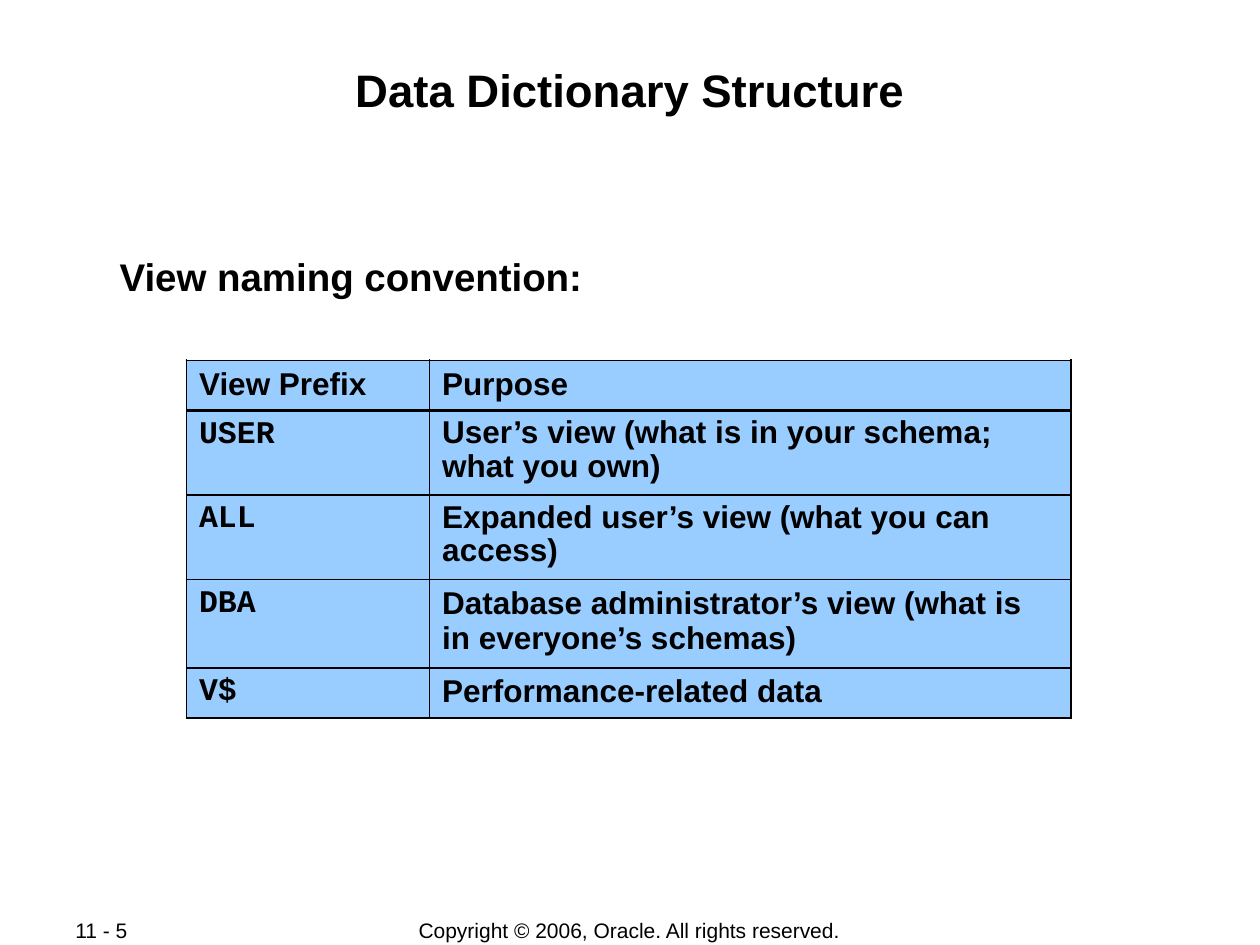
from lxml import etree
from pptx import Presentation
from pptx import util as u
from pptx.dml.color import RGBColor
from pptx.enum import text
from pptx.oxml.ns import qn

BLACK, BLUE = "000000", "99CCFF"
LEFT, CENTER = text.PP_ALIGN.LEFT, text.PP_ALIGN.CENTER
TOP, MIDDLE = text.MSO_ANCHOR.TOP, text.MSO_ANCHOR.MIDDLE


def color(value):
    return RGBColor.from_string(value)


def write(frame, words, size, bold=True, name="Arial", align=LEFT, spacing=1.0):
    frame.text = words
    paragraph = frame.paragraphs[0]
    for key, value in {"alignment": align, "line_spacing": spacing, "space_before": u.Pt(0)}.items():
        setattr(paragraph, key, value)
    font = paragraph.runs[0].font
    for key, value in {"size": u.Pt(size), "bold": bold, "name": name}.items():
        setattr(font, key, value)
    font.color.rgb = color(BLACK)


presentation = Presentation()
presentation.slide_width, presentation.slide_height = u.Inches(10), u.Inches(7.5)
slide = presentation.slides.add_slide(presentation.slide_layouts[5])

text_blocks = [
    (slide.shapes.title, "Data Dictionary Structure", (0.67, 0.48, 8.66, 0.96), 26, True, CENTER, TOP, (0.01, 0.01)),
    (None, "View naming convention:", (0.94, 2, 8.66, 0.39), 22, True, LEFT, TOP, (0.01, 0.01)),
    (None, "Copyright © 2006, Oracle. All rights reserved.", (2.75, 7.28, 4.49, 0.21), 12, False, CENTER, MIDDLE, (0.1, 0.05)),
    (None, "11 - 5", (0.5, 7.28, 1.06, 0.2), 12, False, LEFT, MIDDLE, (0.1, 0.05)),
]
for shape, words, box, size, bold, align, anchor, (side, edge) in text_blocks:
    left, top, width, height = map(u.Inches, box)
    shape = shape or slide.shapes.add_textbox(left, top, width, height)
    shape.left, shape.top, shape.width, shape.height = left, top, width, height
    frame = shape.text_frame
    frame_format = {
        "word_wrap": True, "auto_size": text.MSO_AUTO_SIZE.NONE, "vertical_anchor": anchor,
        "margin_left": u.Inches(side), "margin_right": u.Inches(side),
        "margin_top": u.Inches(edge), "margin_bottom": u.Inches(edge),
    }
    for key, value in frame_format.items():
        setattr(frame, key, value)
    write(frame, words, size, bold, align=align)

rows = [
    ("View Prefix", "Purpose", 0.4, 1.0),
    ("USER", "User’s view (what is in your schema; what you own)", 0.67, 0.95),
    ("ALL", "Expanded user’s view (what you can access)", 0.67, 0.95),
    ("DBA", "Database administrator’s view (what is in everyone’s schemas)", 0.7, 1.0),
    ("V$", "Performance-related data", 0.4, 1.0),
]
table_frame = slide.shapes.add_table(
    len(rows), 2, u.Inches(1.48), u.Inches(2.86), u.Inches(7.02), u.Inches(2.84))
table = table_frame.table
table.horz_banding = False
for column, width in zip(table.columns, (1.93, 5.09)):
    column.width = u.Inches(width)

for row_index, (prefix, purpose, height, purpose_spacing) in enumerate(rows):
    table.rows[row_index].height = u.Inches(height)
    for column_index, words in enumerate((prefix, purpose)):
        cell = table.cell(row_index, column_index)
        is_code = row_index > 0 and column_index == 0
        write(cell.text_frame, words, 18, name="Courier New" if is_code else "Arial",
              spacing=0.95 if is_code else purpose_spacing)
        properties = cell._tc.get_or_add_tcPr()
        for side in "LRTB":
            heavy = (row_index, side) in ((0, "B"), (1, "T"))
            line = etree.SubElement(properties, qn(f"a:ln{side}"), w=str(u.Pt(2.21 if heavy else 1.08)))
            fill = etree.SubElement(line, qn("a:solidFill"))
            etree.SubElement(fill, qn("a:srgbClr"), val=BLACK)
        cell.fill.solid()
        cell.fill.fore_color.rgb = color(BLUE)

presentation.save("out.pptx")
